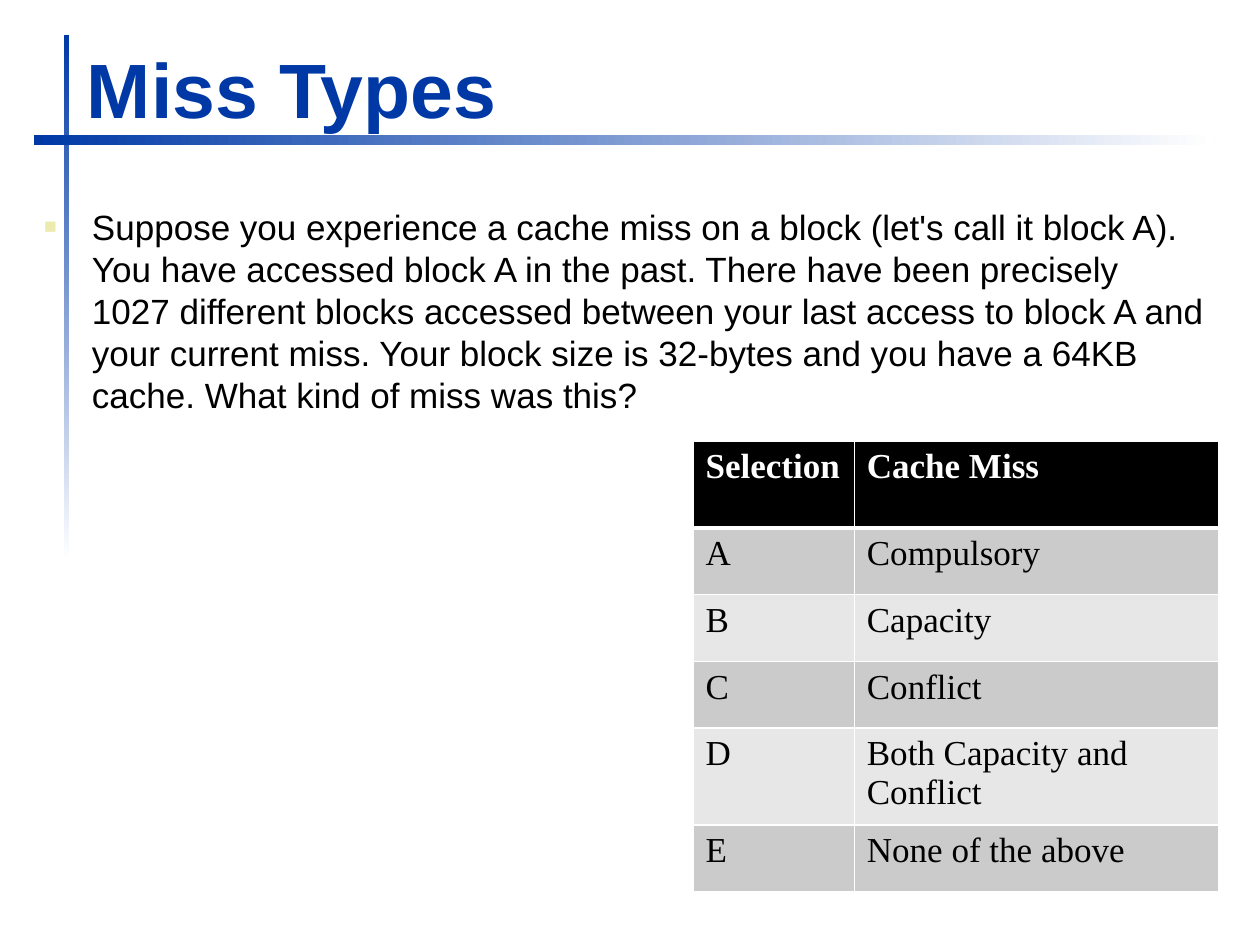
from lxml import etree
from pptx import Presentation
from pptx.dml.color import RGBColor
from pptx.enum.shapes import MSO_SHAPE
from pptx.enum.text import MSO_ANCHOR, MSO_AUTO_SIZE, PP_ALIGN
from pptx.oxml import parse_xml
from pptx.oxml.ns import nsdecls, qn
from pptx.util import Inches, Pt


def color(value):
    return RGBColor.from_string(value)


def add_run(paragraph, text, size, font_name, font_color, bold=False):
    run = paragraph.add_run()
    run.text = text
    run.font.size = Pt(size)
    run.font.name = font_name
    run.font.color.rgb = color(font_color)
    run.font.bold = bold


BLUE, WHITE, BLACK = "0039A6", "FFFFFF", "000000"

presentation = Presentation()
presentation.slide_width = Inches(10)
presentation.slide_height = Inches(7.5)
slide = presentation.slides.add_slide(presentation.slide_layouts[1])

title = slide.shapes.title
title.left, title.top = Inches(0.59), Inches(0.27)
title.width, title.height = Inches(8.5), Inches(0.84)
title.text_frame.vertical_anchor = MSO_ANCHOR.BOTTOM
title.text_frame.auto_size = MSO_AUTO_SIZE.SHAPE_TO_FIT_TEXT
paragraph = title.text_frame.paragraphs[0]
paragraph.alignment = PP_ALIGN.LEFT
add_run(paragraph, "Miss Types", 44, "Arial", BLUE, bold=True)

bars = [
    (0.51, 0.28, 0.04, 4.17, 270),
    (0.27, 1.07, 9.37, 0.08, 0),
]
for left, top, width, height, angle in bars:
    bar = slide.shapes.add_shape(
        MSO_SHAPE.RECTANGLE, Inches(left), Inches(top), Inches(width), Inches(height)
    )
    bar.shadow.inherit = False
    bar.line.fill.background()
    bar.fill.gradient()
    bar.fill.gradient_angle = angle
    for stop, stop_color in zip(bar.fill.gradient_stops, (BLUE, WHITE)):
        stop.color.rgb = color(stop_color)
    title.element.addprevious(bar.element)

body = slide.placeholders[1]
body.left, body.top = Inches(0.25), Inches(1.58)
body.width, body.height = Inches(9.42), Inches(4.5)
body.text_frame.auto_size = MSO_AUTO_SIZE.NONE
paragraph = body.text_frame.paragraphs[0]
paragraph.space_before = Pt(0)
properties = paragraph._p.get_or_add_pPr()
properties.set("marL", str(Inches(0.38)))
properties.set("indent", str(Inches(-0.38)))
for bullet in (
    f'<a:buClr {nsdecls("a")}><a:srgbClr val="ECEAAC"/></a:buClr>',
    f'<a:buSzPct {nsdecls("a")} val="60000"/>',
    f'<a:buFont {nsdecls("a")} typeface="Arial"/>',
    f'<a:buChar {nsdecls("a")} char="■"/>',
):
    properties.append(parse_xml(bullet))
question = (
    "Suppose you experience a cache miss on a block (let's call it block A). "
    "You have accessed block A in the past. There have been precisely 1027 "
    "different blocks accessed between your last access to block A and your "
    "current miss. Your block size is 32-bytes and you have a 64KB cache. "
    "What kind of miss was this?"
)
add_run(paragraph, question, 20, "Arial", BLACK)

rows = [
    ("Selection", "Cache Miss"),
    ("A", "Compulsory"),
    ("B", "Capacity"),
    ("C", "Conflict"),
    ("D", "Both Capacity and Conflict"),
    ("E", "None of the above"),
]
table = slide.shapes.add_table(
    len(rows), 2, Inches(5.5), Inches(3.5), Inches(4.17), Inches(3.58)
).table
for column, width in zip(table.columns, (1.28, 2.89)):
    column.width = Inches(width)
for row, height in zip(table.rows, (0.69, 0.53, 0.53, 0.53, 0.77, 0.53)):
    row.height = Inches(height)

for row_index, texts in enumerate(rows):
    header = row_index == 0
    fill_color = BLACK if header else ("E7E7E7", "CBCBCB")[row_index % 2]
    border_widths = {
        "a:lnL": 1,
        "a:lnR": 1,
        "a:lnT": 3 if row_index == 1 else 1,
        "a:lnB": 3 if header else 1,
    }
    for column_index, text in enumerate(texts):
        cell = table.cell(row_index, column_index)
        cell_properties = cell._tc.get_or_add_tcPr()
        for tag, width in border_widths.items():
            border = etree.SubElement(cell_properties, qn(tag), w=str(Pt(width)))
            fill = etree.SubElement(border, qn("a:solidFill"))
            etree.SubElement(fill, qn("a:srgbClr"), val=WHITE)
        cell.fill.solid()
        cell.fill.fore_color.rgb = color(fill_color)
        add_run(
            cell.text_frame.paragraphs[0], text, 20, "Times New Roman",
            WHITE if header else BLACK, bold=header,
        )

presentation.save("out.pptx")
